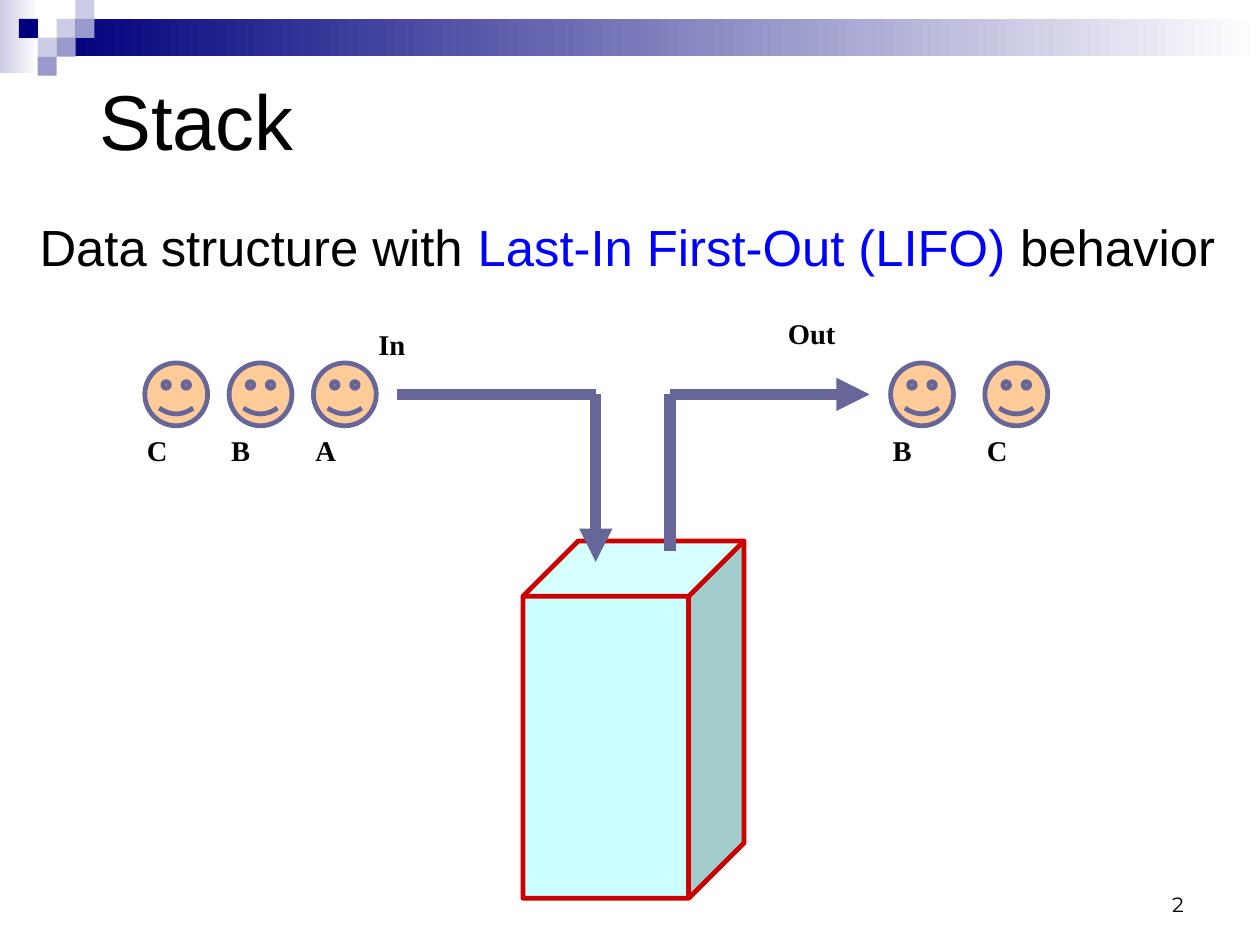
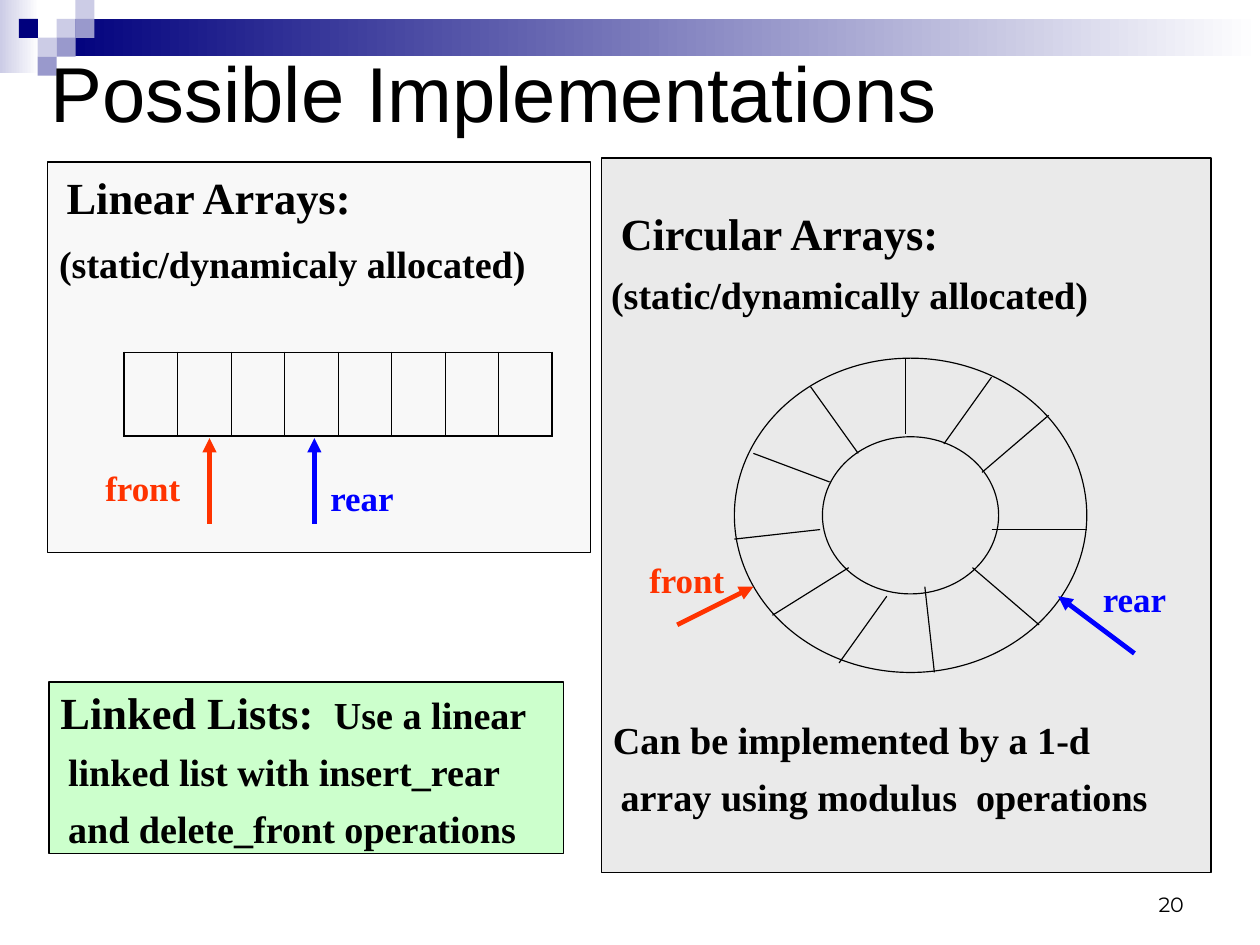
from lxml.etree import SubElement
from pptx import Presentation
from pptx.dml.color import RGBColor
from pptx.enum.shapes import MSO_CONNECTOR, MSO_SHAPE
from pptx.enum.text import MSO_ANCHOR, MSO_AUTO_SIZE, PP_ALIGN
from pptx.oxml.ns import qn
from pptx.util import Cm, Inches, Pt

BLACK = RGBColor(0x00, 0x00, 0x00)
WHITE = RGBColor(0xFF, 0xFF, 0xFF)
NAVY = RGBColor(0x00, 0x00, 0x7D)
LAVENDER = RGBColor(0xCC, 0xCC, 0xE6)
PERIWINKLE = RGBColor(0x99, 0x99, 0xCC)
SLATE = RGBColor(0x66, 0x66, 0x99)
BLUE = RGBColor(0x00, 0x00, 0xFF)
ORANGE = RGBColor(0xFF, 0x33, 0x00)
RED = RGBColor(0xCC, 0x00, 0x00)
CYAN = RGBColor(0xCC, 0xFF, 0xFF)
PEACH = RGBColor(0xFF, 0xCC, 0x99)
GREEN = RGBColor(0xCC, 0xFF, 0xCC)
PALE_GREY = RGBColor(0xF8, 0xF8, 0xF8)
GREY = RGBColor(0xEA, 0xEA, 0xEA)

CELL = Inches(1) / 12  # every position below counts columns and rows of this grid
HEADING = {"name": "Arial", "size": Pt(49), "bold": False, "color": BLACK}
LEAD = {"name": "Arial", "size": Pt(32), "bold": False, "color": BLACK}
NUMBER = {"name": "Montserrat", "size": Pt(13), "bold": False, "color": BLACK}
LABEL = {"name": "Times New Roman", "size": Pt(18), "bold": True, "color": BLACK}
BODY = {**LABEL, "size": Pt(24)}
TOPIC = {**LABEL, "size": Pt(28)}
POINTER = {**LABEL, "size": Pt(22)}
PADDED = (0.11, 0.06)
FLUSH = (0, 0)


def write(shape, paragraphs, margins=PADDED, anchor=MSO_ANCHOR.TOP):
    """Fill a shape with (paragraph format, indent in cells, runs) entries."""
    side, top = margins
    frame_format = {
        "word_wrap": True, "auto_size": MSO_AUTO_SIZE.NONE, "vertical_anchor": anchor,
        "margin_left": Inches(side), "margin_right": Inches(side),
        "margin_top": Inches(top), "margin_bottom": 0 if side == 0 else Inches(top),
    }
    frame = shape.text_frame
    for name, value in frame_format.items():
        setattr(frame, name, value)
    for index, (paragraph_format, indent, runs) in enumerate(paragraphs):
        paragraph = frame.add_paragraph() if index else frame.paragraphs[0]
        for name, value in {"alignment": PP_ALIGN.LEFT, **paragraph_format}.items():
            setattr(paragraph, name, value)
        if indent:
            paragraph._p.get_or_add_pPr().set("marL", str(int(indent * CELL)))
        for text, font in runs:
            run = paragraph.add_run()
            run.text = text
            for name, value in font.items():
                if name == "color":
                    run.font.color.rgb = value
                else:
                    setattr(run.font, name, value)


def draw_line(slide, ends, color, width, arrow=False):
    """Draw a straight line between two grid points."""
    line = slide.shapes.add_connector(
        MSO_CONNECTOR.STRAIGHT, *[int(value * CELL) for value in ends])
    line.line.color.rgb = color
    line.line.width = Pt(width)
    if arrow:
        SubElement(line.line._get_or_add_ln(), qn("a:tailEnd"), type="triangle")
    SubElement(line.element.spPr, qn("a:effectLst"))


presentation = Presentation()
presentation.slide_width = Cm(28)
presentation.slide_height = Cm(21)
layout = presentation.slide_layouts.get_by_name("Title Only")
for placeholder in list(layout.placeholders):
    if placeholder.placeholder_format.idx:
        layout.shapes.element.remove(placeholder.element)

# Titles and page numbers
slides = []
for title, page, box in [
    ("Stack", "2", (9.1, 2.6, 119, 19.8)),
    ("Possible Implementations", "20", (4, 4, 125, 11.1)),
]:
    slide = presentation.slides.add_slide(layout)
    slides.append(slide)
    shape = slide.shapes.title
    shape.left, shape.top, shape.width, shape.height = [int(v * CELL) for v in box]
    write(shape, [({}, 0, [(title, HEADING)])], anchor=MSO_ANCHOR.MIDDLE)
    number = slide.shapes.add_textbox(
        *[int(v * CELL) for v in (94.8, 90.4, 30.8, 6.6)])
    write(number, [({"alignment": PP_ALIGN.RIGHT}, 0, [(page, NUMBER)])],
          anchor=MSO_ANCHOR.BOTTOM)
stack, queue = slides

# Shared band and tiles, moved into the layout
TILE = 1.98
ornaments = [((0, 0, 4.1, 7.7), LAVENDER, WHITE),
             ((6, TILE, 126.28, 3.9), NAVY, WHITE)]
for column, row, color in [
    (3, 1, LAVENDER), (4, 0, LAVENDER), (4, 1, PERIWINKLE), (2, 2, LAVENDER),
    (1, 1, NAVY), (3, 2, PERIWINKLE), (2, 3, PERIWINKLE),
]:
    ornaments.append(((column * TILE, row * TILE, 2, 2), color, None))
band = []
for box, color, fade in ornaments:
    shape = stack.shapes.add_shape(MSO_SHAPE.RECTANGLE, *[int(v * CELL) for v in box])
    shape.shadow.inherit = False
    shape.line.fill.background()
    if fade is None:
        shape.fill.solid()
        shape.fill.fore_color.rgb = color
    else:
        shape.fill.gradient()
        shape.fill.gradient_angle = 0
        for stop, stop_color in zip(shape.fill.gradient_stops, (color, fade)):
            stop.color.rgb = stop_color
    band.append(shape)
for index, shape in enumerate(band):
    layout.shapes.element.insert(2 + index, shape.element)

# Stack: lead sentence
lead = stack.shapes.add_textbox(*[int(v * CELL) for v in (4.15, 22.6, 125.2, 6.4)])
write(lead, [({}, 0, [
    ("Data structure with ", LEAD),
    ("Last-In First-Out (LIFO)", {**LEAD, "color": BLUE}),
    (" behavior", LEAD),
])], FLUSH)

# Stack: container and waiting faces
FACE_TOP, FACE = 38.1, 6.6
faces = [(15.2, "C"), (24.05, "B"), (32.9, "A"), (93.5, "B"), (103.4, "C")]
figures = [(MSO_SHAPE.CUBE, (54.9, 56.8, 23.2, 37.5), CYAN, RED)]
for left, name in faces:
    figures.append((MSO_SHAPE.SMILEY_FACE, (left, FACE_TOP, FACE, FACE), PEACH, SLATE))
for preset, box, fill, outline in figures:
    shape = stack.shapes.add_shape(preset, *[int(v * CELL) for v in box])
    shape.shadow.inherit = False
    shape.fill.solid()
    shape.fill.fore_color.rgb = fill
    shape.line.color.rgb = outline
    shape.line.width = Pt(3)

# Stack: ways in and out
LEVEL = 41.4
for ends, arrow in [
    ((62.55, LEVEL, 62.55, 59), True),
    ((62.6, LEVEL, 41.7, LEVEL), False),
    ((70.35, 57.9, 70.35, LEVEL), False),
    ((70.35, LEVEL, 91.3, LEVEL), True),
]:
    draw_line(stack, ends, SLATE, 7, arrow)
labels = [(38.4, 33.6, "In"), (81.4, 32.5, "Out")]
labels += [(left - 1.1, FACE_TOP + FACE, name) for left, name in faces]
for left, top, text in labels:
    label = stack.shapes.add_textbox(*[int(v * CELL) for v in (left, top, 8.8, 4.9)])
    write(label, [({}, 0, [(text, LABEL)])])

# Implementations: three panels
for box, fill, top_margin, paragraphs in [
    ((5, 17, 57, 41), PALE_GREY, 0.07, [
        ({}, 2, [("Linear Arrays:", TOPIC)]),
        ({"space_before": Pt(10.5)}, 1.2, [("(static/dynamicaly allocated)", BODY)]),
    ]),
    ((63.15, 16.6, 64, 75), GREY, 0.42, [
        ({}, 2, [("Circular Arrays:", TOPIC)]),
        ({"space_before": Pt(7.5)}, 1, [("(static/dynamically allocated)", BODY)]),
        ({"space_before": Pt(251.5)}, 1.2, [("Can be implemented by a 1-d", BODY)]),
        ({"space_before": Pt(7)}, 2, [("array using modulus  operations", BODY)]),
    ]),
    ((5.15, 71.6, 54, 18), GREEN, 0.03, [
        ({}, 1.2, [("Linked Lists: ", TOPIC), (" Use a linear", BODY)]),
        ({"space_before": Pt(6)}, 2, [("linked list with insert_rear", BODY)]),
        ({"space_before": Pt(7)}, 2, [("and delete_front operations", BODY)]),
    ]),
]:
    panel = queue.shapes.add_shape(MSO_SHAPE.RECTANGLE, *[int(v * CELL) for v in box])
    panel.shadow.inherit = False
    panel.fill.solid()
    panel.fill.fore_color.rgb = fill
    panel.line.color.rgb = BLACK
    panel.line.width = Pt(1)
    write(panel, paragraphs, (0, top_margin))

# Implementations: linear array
SLOTS = 8
array = queue.shapes.add_table(
    1, SLOTS, *[int(v * CELL) for v in (13, 37, 45, 8.75)]).table
array.first_row = array.horz_banding = False
for index, cell in enumerate(array.iter_cells()):
    cell_properties = cell._tc.get_or_add_tcPr()
    for side, outer in [("L", index == 0), ("R", index == SLOTS - 1),
                        ("T", True), ("B", True)]:
        border = SubElement(cell_properties, qn(f"a:ln{side}"),
                            w=str(int(Pt(1.08 if outer else 0.45))))
        border_fill = SubElement(border, qn("a:solidFill"))
        SubElement(border_fill, qn("a:srgbClr"), val=str(BLACK))
    cell.fill.background()

# Implementations: circular array
RING_LEFT, RING_TOP, RING_WIDTH, RING_HEIGHT = 77.1, 37.6, 37, 33
for share in (1, 0.5):
    inset = (1 - share) / 2
    box = (RING_LEFT + inset * RING_WIDTH, RING_TOP + inset * RING_HEIGHT,
           share * RING_WIDTH, share * RING_HEIGHT)
    circle = queue.shapes.add_shape(MSO_SHAPE.OVAL, *[int(v * CELL) for v in box])
    circle.shadow.inherit = False
    circle.fill.background()
    circle.line.color.rgb = BLACK
    circle.line.width = Pt(0.75)
for x1, y1, x2, y2 in [
    (18, 0, 18, 8), (8, 3, 13, 10), (2, 10, 10, 13), (0, 19, 9, 18),
    (4, 27, 12, 22), (11, 32, 16, 25), (21, 33, 20, 24), (25, 22, 32, 28),
    (27, 18, 37, 18), (26, 12, 33, 6), (22, 9, 27, 2),
]:
    draw_line(queue, (RING_LEFT + x1, RING_TOP + y1, RING_LEFT + x2, RING_TOP + y2),
              BLACK, 0.75)

# Implementations: front and rear pointers of both arrays
for text, color, ends, left, top in [
    ("front", ORANGE, (22, 55, 22, 46), 9, 49),
    ("rear", BLUE, (33, 55, 33, 46), 32, 50),
    ("front", ORANGE, (71.1, 65.6, 79.1, 61.6), 66.1, 58.6),
    ("rear", BLUE, (119.1, 68.6, 111.1, 62.6), 113.1, 60.6),
]:
    draw_line(queue, ends, color, 3, True)
    label = queue.shapes.add_textbox(*[int(v * CELL) for v in (left, top, 12, 4.4)])
    write(label, [({"alignment": PP_ALIGN.CENTER}, 0,
                   [(text, {**POINTER, "color": color})])], FLUSH)

presentation.save("out.pptx")
